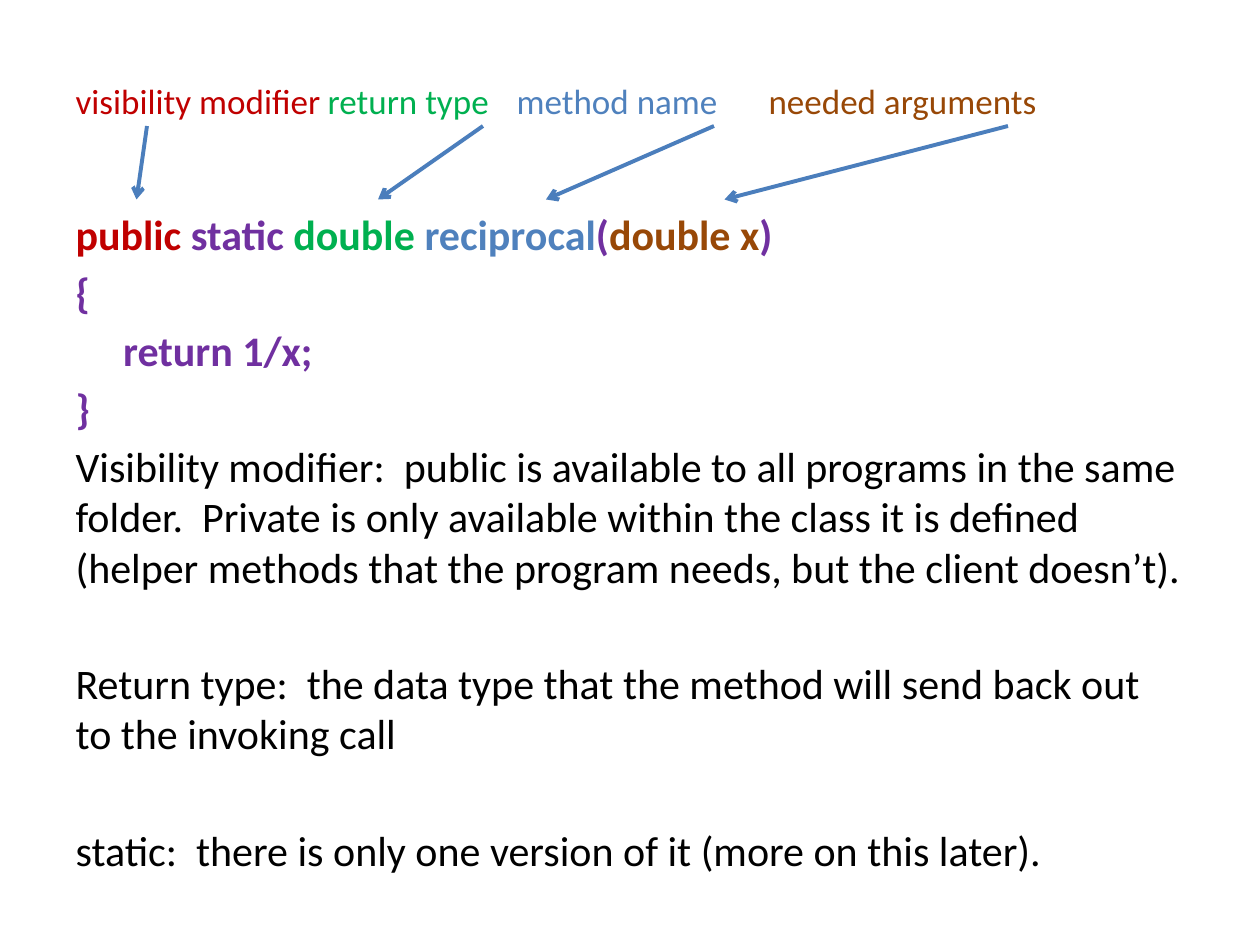
"""Build a slide that explains the parts of a method header."""
from dataclasses import dataclass

import lxml.etree
import pptx
import pptx.dml.color
import pptx.enum.shapes
import pptx.enum.text
import pptx.oxml.ns
import pptx.util

COLORS = {
    "visibility": "C00000",
    "code": "7030A0",
    "return": "00B050",
    "name": "4F81BD",
    "arguments": "984807",
    "text": "000000",
    "arrow": "4B7EBC",
}
FONT = "Calibri"
LABEL_STOPS = (189.4, 322.4, 477.9)
ARROW_TOP, ARROW_BOTTOM = 72, 114
LINE_GAP, CODE_GAP, SECTION_GAP = 4.3, 49.5, 37.8


@dataclass(frozen=True)
class Piece:
    """A stretch of text in one colour."""
    text: str
    color: str


@dataclass(frozen=True)
class Line:
    """A paragraph with its look and the space above it."""
    pieces: tuple[Piece, ...]
    gap: float = LINE_GAP
    size: float = 24
    bold: bool = False
    stops: tuple[float, ...] = ()


@dataclass(frozen=True)
class Arrow:
    """The horizontal ends of an arrow from a label to the code."""
    start: float
    end: float


LINES = (
    Line((
        Piece("visibility modifier\t", "visibility"),
        Piece("return type\t", "return"),
        Piece("method name\t", "name"),
        Piece("needed arguments", "arguments"),
    ), gap=0, size=20, stops=LABEL_STOPS),
    Line((
        Piece("public ", "visibility"),
        Piece("static ", "code"),
        Piece("double ", "return"),
        Piece("reciprocal", "name"),
        Piece("(", "code"),
        Piece("double x", "arguments"),
        Piece(")", "code"),
    ), gap=CODE_GAP, bold=True),
    Line((Piece("{", "code"),), bold=True),
    Line((Piece("     return 1/x;", "code"),), bold=True),
    Line((Piece("}", "code"),), bold=True),
    Line((Piece(
        "Visibility modifier:  public is available to all programs in the same "
        "folder.  Private is only available within the class it is defined "
        "(helper methods that the program needs, but the client doesn’t).",
        "text"),)),
    Line((Piece(
        "Return type:  the data type that the method will send back out "
        "to the invoking call", "text"),), gap=SECTION_GAP),
    Line((Piece(
        "static:  there is only one version of it (more on this later).",
        "text"),), gap=SECTION_GAP),
)
ARROWS = (Arrow(84, 78), Arrow(276, 216), Arrow(408, 312), Arrow(576, 414))


def rgb(name: str) -> pptx.dml.color.RGBColor:
    """Return the named colour."""
    return pptx.dml.color.RGBColor.from_string(COLORS[name])


def add_element(parent, tag: str, **attributes: str):
    """Append a DrawingML element to its parent."""
    return lxml.etree.SubElement(parent, pptx.oxml.ns.qn(tag), attributes)


def write_line(paragraph, line: Line) -> None:
    """Fill a paragraph with the coloured pieces of a line."""
    properties = paragraph._p.get_or_add_pPr()
    properties.set("marL", "0")
    properties.set("indent", "0")
    add_element(properties, "a:buNone")
    if line.stops:
        stop_list = add_element(properties, "a:tabLst")
        for stop in line.stops:
            add_element(stop_list, "a:tab", pos=str(pptx.util.Pt(stop)), algn="l")
    paragraph.space_before = pptx.util.Pt(line.gap)
    for piece in line.pieces:
        run = paragraph.add_run()
        run.text = piece.text
        run.font.name = FONT
        run.font.size = pptx.util.Pt(line.size)
        run.font.bold = line.bold
        run.font.color.rgb = rgb(piece.color)


def draw_arrow(slide, arrow: Arrow) -> None:
    """Draw an arrow from a label down to its part of the code."""
    connector = slide.shapes.add_connector(
        pptx.enum.shapes.MSO_CONNECTOR.STRAIGHT,
        pptx.util.Pt(arrow.start), pptx.util.Pt(ARROW_TOP),
        pptx.util.Pt(arrow.end), pptx.util.Pt(ARROW_BOTTOM))
    connector.line.color.rgb = rgb("arrow")
    connector.line.width = pptx.util.Pt(2.25)
    add_element(connector.line._get_or_add_ln(), "a:tailEnd", type="arrow")
    add_element(connector._element.spPr, "a:effectLst")


def main() -> None:
    """Build and save the slide."""
    deck = pptx.Presentation()
    deck.slide_width, deck.slide_height = pptx.util.Pt(720), pptx.util.Pt(540)
    slide = deck.slides.add_slide(deck.slide_layouts[1])
    title = slide.shapes.title._element
    title.getparent().remove(title)

    body = slide.placeholders[1]
    body.left, body.top = pptx.util.Pt(36), pptx.util.Pt(42)
    body.width, body.height = pptx.util.Pt(648), pptx.util.Pt(474)
    frame = body.text_frame
    frame.word_wrap = True
    frame.auto_size = pptx.enum.text.MSO_AUTO_SIZE.NONE
    for index, line in enumerate(LINES):
        write_line(frame.add_paragraph() if index else frame.paragraphs[0], line)

    for arrow in ARROWS:
        draw_arrow(slide, arrow)
    deck.save("out.pptx")


if __name__ == "__main__":
    main()
